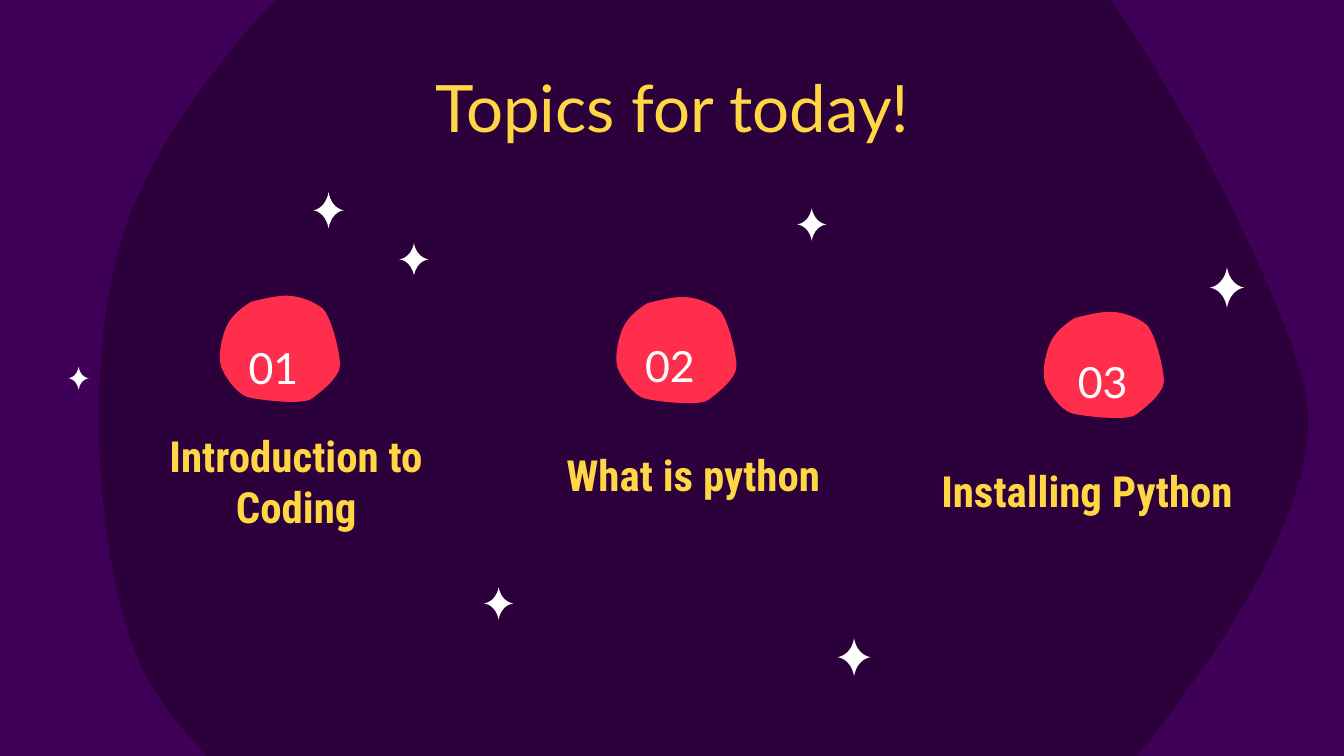
from lxml import etree
from pptx import Presentation, util as u
from pptx.dml.color import RGBColor
from pptx.enum import text
from pptx.oxml.ns import qn

PX = 9144  # 100 px to the inch
HUES = {"back": "3F0057", "cave": "2B003B", "star": "FFFFFF",
        "dot": "FF2E4D", "gold": "FFD745", "num": "FFFFFF"}

# Outlines: size, then a start point followed by cubic curves, three points each
BLOB = (910, 795), [
    (511, 0),
    (508, 0), (504, 0), (500, 0),
    (406, 2), (249, 46), (249, 46),
    (249, 46), (150, 101), (91, 185),
    (33, 268), (0, 448), (24, 526),
    (48, 603), (142, 733), (219, 758),
    (269, 773), (430, 795), (554, 795),
    (621, 795), (676, 789), (699, 772),
    (763, 724), (910, 612), (910, 517),
    (910, 420), (843, 151), (779, 95),
    (717, 43), (604, 0), (511, 0)]
STAR = (100, 100), [
    (50, 0),
    (40, 48), (0, 50), (0, 50),
    (0, 50), (40, 52), (50, 100),
    (60, 52), (100, 50), (100, 50),
    (100, 50), (60, 48), (50, 0)]

STARS = [(623, 475, 25, 28), (51, 273, 15, 17), (900, 199, 26, 30),
         (233, 143, 23, 27), (297, 181, 22, 24), (593, 155, 22, 24),
         (360, 437, 22, 24)]

# Number, label, dot corner, number corner, label box
TOPICS = [
    ("01", "Introduction to Coding", (162, 220), (149, 247), (99, 340, 243, 66)),
    ("02", "What is python", (457, 221), (444, 245), (381, 316, 270, 66)),
    ("03", "Installing Python", (775, 232), (766, 257), (688, 328, 242, 66)),
]


def hue(name):
    return RGBColor.from_string(HUES[name])


def curve(slide, form, box, fill, turn=0):
    """Stretch a curved outline over the box."""
    x, y, w, h = box
    (wide, high), dots = form
    pen = slide.shapes.build_freeform(x, y, scale=PX)
    pen.add_line_segments([(x + w, y), (x + w, y + h), (x, y + h)])
    shape = pen.convert_to_shape()
    track = shape._element.find(".//" + qn("a:path"))
    track.set("w", str(wide))
    track.set("h", str(high))
    for part in list(track):
        track.remove(part)

    def add(tag, pts):
        node = etree.SubElement(track, qn(tag))
        for px, py in pts:
            etree.SubElement(node, qn("a:pt"), x=str(px), y=str(py))

    add("a:moveTo", dots[:1])
    for i in range(1, len(dots), 3):
        add("a:cubicBezTo", dots[i:i + 3])
    add("a:close", [])
    shape.rotation = turn
    shape.shadow.inherit = False
    shape.fill.solid()
    shape.fill.fore_color.rgb = hue(fill)
    shape.line.fill.background()


def label(slide, box, words, size, font, color, anchor, bold=False):
    area = slide.shapes.add_textbox(*(n * PX for n in box))
    frame = area.text_frame
    frame.word_wrap = True
    frame.vertical_anchor = anchor
    frame.margin_left = frame.margin_right = 10 * PX
    frame.margin_top = frame.margin_bottom = 10 * PX
    frame.text = words
    para = frame.paragraphs[0]
    para.alignment = text.PP_ALIGN.CENTER
    face = para.runs[0].font
    face.name, face.size, face.bold = font, u.Pt(size), bold
    face.color.rgb = hue(color)


def topic(slide, num, words, dot, spot, box):
    curve(slide, BLOB, (*dot, 91, 79), "dot")
    label(slide, box, words, 23, "Roboto Condensed", "gold",
          text.MSO_ANCHOR.BOTTOM, True)
    label(slide, (*spot, 109, 53), num, 23, "Lato", "num",
          text.MSO_ANCHOR.MIDDLE)


def main():
    deck = Presentation()
    deck.slide_width = 1000 * PX
    deck.slide_height = deck.slide_width * 9 // 16
    slide = deck.slides.add_slide(deck.slide_layouts[6])
    slide.background.fill.solid()
    slide.background.fill.fore_color.rgb = hue("back")
    curve(slide, BLOB, (45, -116, 910, 795), "cave", -14)
    for box in STARS:
        curve(slide, STAR, box, "star")
    label(slide, (192, 40, 617, 79), "Topics for today!", 35, "Lato", "gold",
          text.MSO_ANCHOR.TOP)
    for item in TOPICS:
        topic(slide, *item)
    deck.save("out.pptx")


if __name__ == "__main__":
    main()
